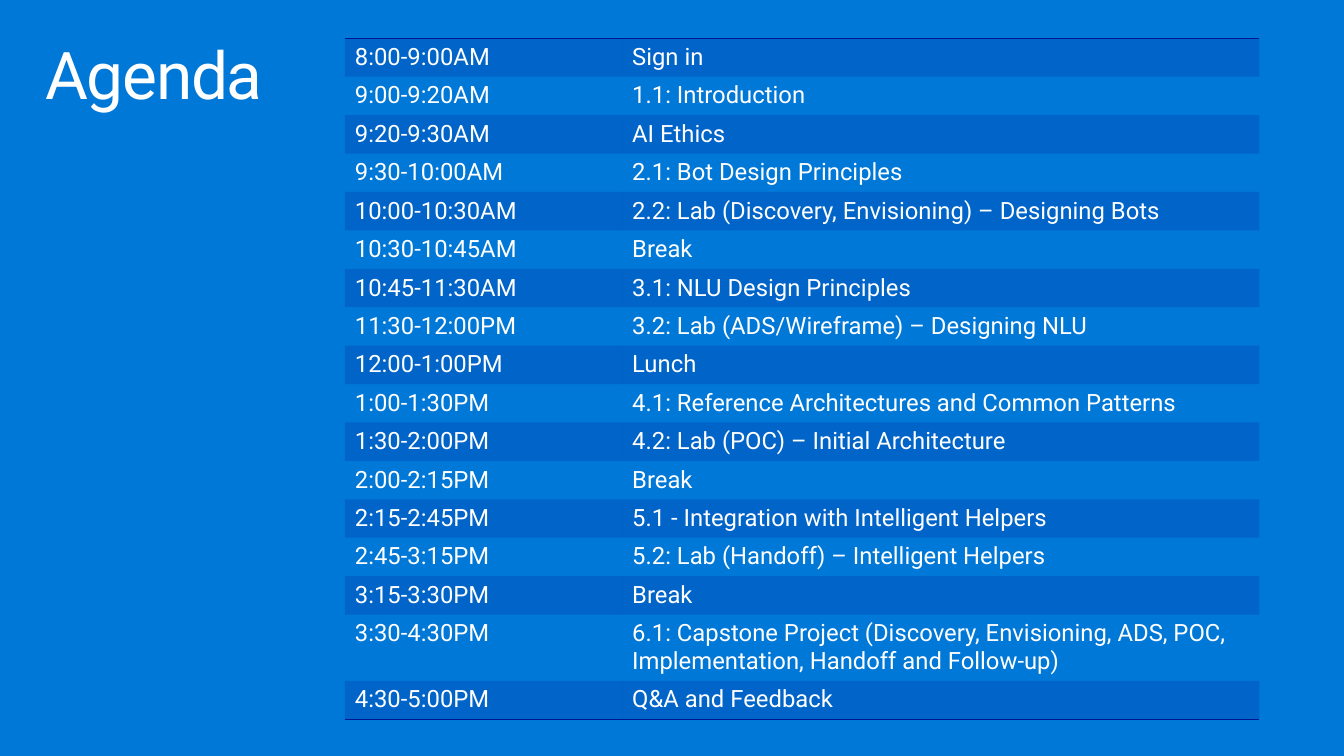
from lxml import etree
from pptx import Presentation
from pptx.dml.color import RGBColor
from pptx.enum import text
from pptx.oxml import ns
from pptx.util import Inches, Pt

FONT = "Roboto"
COLORS = {"background": "0078D7", "text": "FFFFFF", "band": "00188F"}
PLAIN_TABLE_STYLE = "{2D5ABB26-0587-4C30-8999-92F81FD0307C}"
COLUMN_WIDTHS = (2.75, 6.32)
ROW_HEIGHT = 6.1 / 16
BAND_OPACITY = 20

AGENDA = [
    ("8:00-9:00AM", "Sign in"),
    ("9:00-9:20AM", "1.1: Introduction"),
    ("9:20-9:30AM", "AI Ethics"),
    ("9:30-10:00AM", "2.1: Bot Design Principles"),
    ("10:00-10:30AM", "2.2: Lab (Discovery, Envisioning) – Designing Bots"),
    ("10:30-10:45AM", "Break"),
    ("10:45-11:30AM", "3.1: NLU Design Principles"),
    ("11:30-12:00PM", "3.2: Lab (ADS/Wireframe) – Designing NLU"),
    ("12:00-1:00PM", "Lunch"),
    ("1:00-1:30PM", "4.1: Reference Architectures and Common Patterns"),
    ("1:30-2:00PM", "4.2: Lab (POC) – Initial Architecture"),
    ("2:00-2:15PM", "Break"),
    ("2:15-2:45PM", "5.1 - Integration with Intelligent Helpers"),
    ("2:45-3:15PM", "5.2: Lab (Handoff) – Intelligent Helpers"),
    ("3:15-3:30PM", "Break"),
    ("3:30-4:30PM", "6.1: Capstone Project (Discovery, Envisioning, ADS, POC, "
                    "Implementation, Handoff and Follow-up)"),
    ("4:30-5:00PM", "Q&A and Feedback"),
]


def color(name):
    return RGBColor.from_string(COLORS[name])


def format_run(run, size):
    run.font.name = FONT
    run.font.size = Pt(size)
    run.font.color.rgb = color("text")


def add_title(slide, wording):
    title = slide.shapes.title
    title.left, title.top = Inches(0.29), Inches(0.32)
    title.width, title.height = Inches(12.75), Inches(0.98)
    frame = title.text_frame
    frame.text = wording
    frame.word_wrap = True
    frame.auto_size = text.MSO_AUTO_SIZE.NONE
    frame.vertical_anchor = text.MSO_ANCHOR.TOP
    frame.margin_left = frame.margin_right = Inches(0.16)
    frame.margin_top = frame.margin_bottom = Inches(0.1)
    paragraph = frame.paragraphs[0]
    paragraph.alignment = text.PP_ALIGN.LEFT
    paragraph.line_spacing = 0.9
    run = paragraph.runs[0]
    format_run(run, 47)
    run.font._element.set("spc", "-100")


def add_border(cell, side):
    """Draw a 1 pt rule on one side of a cell; side is lnT or lnB."""
    line = etree.Element(ns.qn(f"a:{side}"), w=str(Pt(1)))
    fill = etree.SubElement(line, ns.qn("a:solidFill"))
    etree.SubElement(fill, ns.qn("a:srgbClr"), val=COLORS["band"])
    cell._tc.get_or_add_tcPr().insert(0, line)


def fill_cell(cell, banded):
    if not banded:
        cell.fill.background()
        return
    cell.fill.solid()
    cell.fill.fore_color.rgb = color("band")
    band = cell._tc.tcPr.find(".//" + ns.qn("a:srgbClr"))
    etree.SubElement(band, ns.qn("a:alpha"), val=str(BAND_OPACITY * 1000))


def add_agenda_table(slide, agenda):
    frame = slide.shapes.add_table(
        len(agenda), len(COLUMN_WIDTHS), Inches(3.42), Inches(0.38),
        Inches(sum(COLUMN_WIDTHS)), Inches(ROW_HEIGHT * len(agenda)))
    table = frame.table
    table.first_row = table.horz_banding = False
    table._tbl.tblPr.find(ns.qn("a:tableStyleId")).text = PLAIN_TABLE_STYLE
    for column, width in zip(table.columns, COLUMN_WIDTHS):
        column.width = Inches(width)

    # Every other row is banded; rules close the table at top and bottom
    for index, entry in enumerate(agenda):
        table.rows[index].height = Inches(ROW_HEIGHT)
        for cell, wording in zip(table.rows[index].cells, entry):
            cell.text = wording
            format_run(cell.text_frame.paragraphs[0].runs[0], 17)
            fill_cell(cell, banded=index % 2 == 0)
            if index == 0:
                add_border(cell, "lnT")
            if index == len(agenda) - 1:
                add_border(cell, "lnB")


def main():
    presentation = Presentation()
    presentation.slide_width = Inches(13.33)
    presentation.slide_height = Inches(7.5)

    # Title Only layout on a plain blue background
    slide = presentation.slides.add_slide(presentation.slide_layouts[5])
    slide.background.fill.solid()
    slide.background.fill.fore_color.rgb = color("background")

    add_title(slide, "Agenda")
    add_agenda_table(slide, AGENDA)
    presentation.save("out.pptx")


if __name__ == "__main__":
    main()
